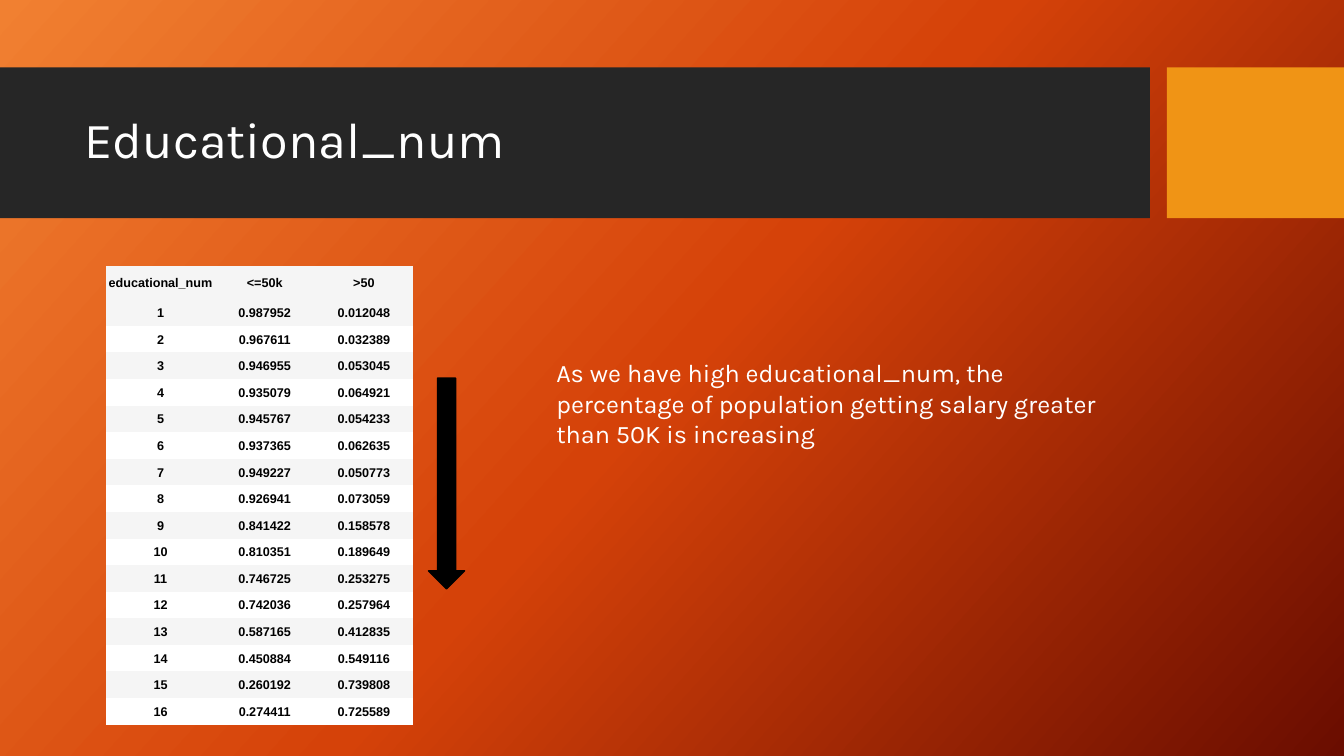
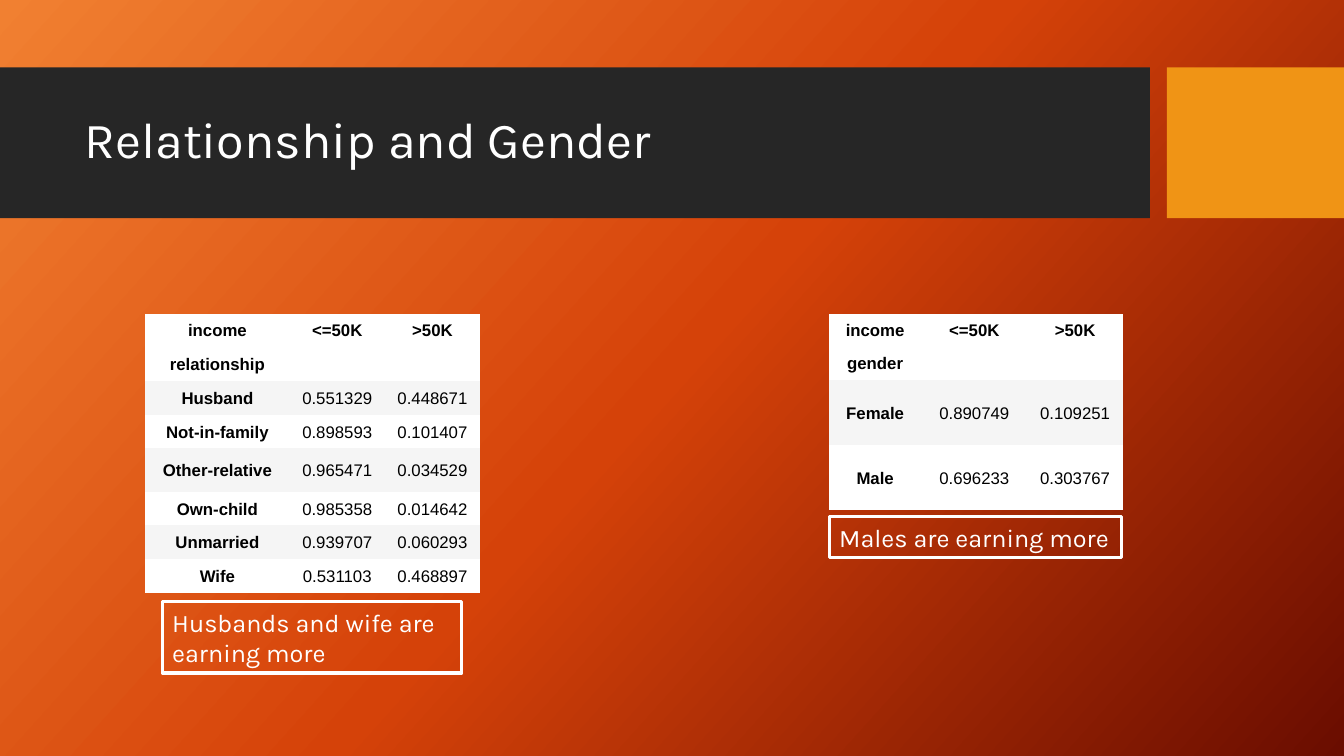
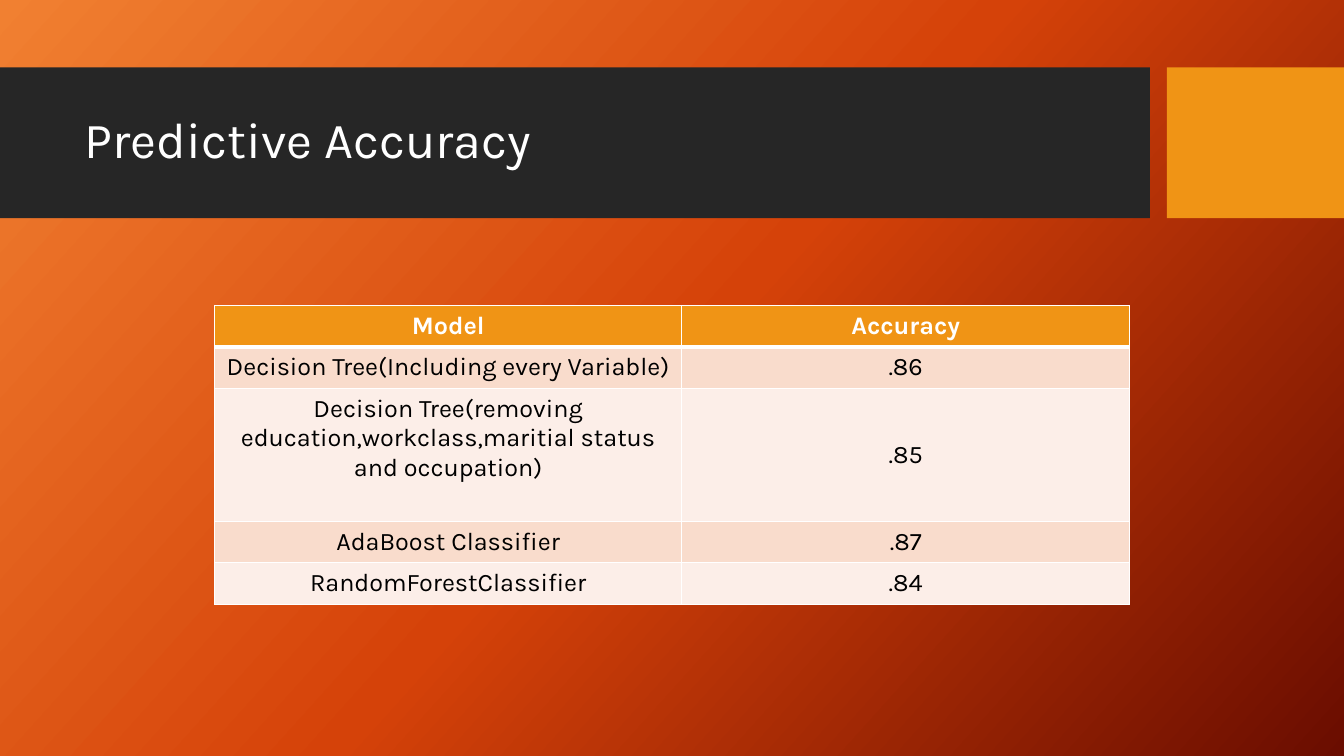
import copy
import pptx
import pptx.util
import pptx.dml.color
import pptx.enum.shapes
import pptx.enum.text
import pptx.oxml
import pptx.oxml.ns
from pptx.util import Cm

KIND = pptx.enum.shapes.MSO_SHAPE
SIDE = pptx.enum.text.PP_ALIGN
MID = pptx.enum.text.MSO_ANCHOR.MIDDLE
GROW = pptx.enum.text.MSO_AUTO_SIZE.SHAPE_TO_FIT_TEXT
NAME = pptx.oxml.ns.qn
WHITE, BLACK, GREY = "FFFFFF", "000000", "F5F5F5"
DARK, AMBER = "262626", "F09415"
PEACH, PALE = "F9DCCC", "FCEEE8"
GLOW = [(0, "F18031"), (0.5, "D54209"), (1, "6A0D00")]
PLAIN = "{2D5ABB26-0587-4C30-8999-92F81FD0307C}"


def hue(code):
    return pptx.dml.color.RGBColor.from_string(code)


def say(frame, text, size=18, font="Karla", color=WHITE, bold=False,
        align=SIDE.LEFT, space=None):
    frame.word_wrap = True
    para = frame.paragraphs[0]
    para.alignment = align
    para.line_spacing = space
    if text:
        run = para.add_run()
        run.text = text
        run.font.size = pptx.util.Pt(size)
        run.font.name = font
        run.font.bold = bold
        run.font.color.rgb = hue(color)


deck = pptx.Presentation()
deck.slide_width, deck.slide_height = Cm(33.87), Cm(19.05)

pages = []
for title in ["Educational_num", "Relationship and Gender", "Predictive Accuracy"]:
    page = deck.slides.add_slide(deck.slide_layouts[6])
    pages.append(page)
    back = page.background.fill
    back.gradient()
    back.gradient_angle = 318
    stops = next(page.element.iter(NAME("a:gsLst")))
    stops.append(copy.deepcopy(stops[-1]))
    for stop, (place, code) in zip(back.gradient_stops, GLOW):
        stop.position = place
        stop.color.rgb = hue(code)
    for left, width, code in [(0, 28.98, DARK), (29.41, 4.46, AMBER)]:
        band = page.shapes.add_shape(KIND.RECTANGLE, Cm(left), Cm(1.7), Cm(width), Cm(3.8))
        band.shadow.inherit = False
        band.fill.solid()
        band.fill.fore_color.rgb = hue(code)
        band.line.fill.background()
    head = page.shapes.add_textbox(Cm(1.88), Cm(2.08), Cm(26.7), Cm(3)).text_frame
    head.vertical_anchor = MID
    say(head, title, size=36, space=0.9)

first, second, third = pages

school = [
    ["educational_num", "<=50k", ">50"],
    ["1", "0.987952", "0.012048"],
    ["2", "0.967611", "0.032389"],
    ["3", "0.946955", "0.053045"],
    ["4", "0.935079", "0.064921"],
    ["5", "0.945767", "0.054233"],
    ["6", "0.937365", "0.062635"],
    ["7", "0.949227", "0.050773"],
    ["8", "0.926941", "0.073059"],
    ["9", "0.841422", "0.158578"],
    ["10", "0.810351", "0.189649"],
    ["11", "0.746725", "0.253275"],
    ["12", "0.742036", "0.257964"],
    ["13", "0.587165", "0.412835"],
    ["14", "0.450884", "0.549116"],
    ["15", "0.260192", "0.739808"],
    ["16", "0.274411", "0.725589"],
]
kin = [
    ["income", "<=50K", ">50K"],
    ["relationship", "", ""],
    ["Husband", "0.551329", "0.448671"],
    ["Not-in-family", "0.898593", "0.101407"],
    ["Other-relative", "0.965471", "0.034529"],
    ["Own-child", "0.985358", "0.014642"],
    ["Unmarried", "0.939707", "0.060293"],
    ["Wife", "0.531103", "0.468897"],
]
gender = [
    ["income", "<=50K", ">50K"],
    ["gender", "", ""],
    ["Female", "0.890749", "0.109251"],
    ["Male", "0.696233", "0.303767"],
]
model = [
    ["Model", "Accuracy"],
    ["Decision Tree(Including every Variable)", ".86"],
    ["Decision Tree(removing education,workclass,maritial status and occupation)", ".85"],
    ["AdaBoost Classifier", ".87"],
    ["RandomForestClassifier", ".84"],
]

small = dict(size=9, font="Arial", color=BLACK, bold=True)
large = dict(size=12, font="Arial", color=BLACK)
grids = [
    (first, school, 2.67, 6.7, [2.75, 2.5, 2.5], [0.84] + [0.67] * 16,
     [GREY] + [GREY, WHITE] * 8, small),
    (second, kin, 3.66, 7.9, [3.64, 2.4, 2.4], [0.85] * 4 + [1.09] + [0.85] * 3,
     [WHITE] * 2 + [GREY, WHITE] * 3, large),
    (second, gender, 20.9, 7.9, [2.31, 2.69, 2.39], [0.84] * 2 + [1.64] * 2,
     [WHITE] * 2 + [GREY, WHITE], large),
    (third, model, 5.41, 7.7, [11.77, 11.29], [1.04, 1.04, 3.23, 1.04, 1.04],
     [AMBER] + [PEACH, PALE] * 2, dict(color=BLACK)),
]
for page, data, left, top, cols, rows, fills, style in grids:
    shape = page.shapes.add_table(len(rows), len(cols), Cm(left), Cm(top),
                                  Cm(sum(cols)), Cm(sum(rows)))
    next(shape.element.iter(NAME("a:tableStyleId"))).text = PLAIN
    table = shape.table
    table.horz_banding = False
    for col, width in zip(table.columns, cols):
        col.width = Cm(width)
    for row, height in zip(table.rows, rows):
        row.height = Cm(height)
    for y, line in enumerate(data):
        for x, text in enumerate(line):
            cell = table.cell(y, x)
            cell.vertical_anchor = MID
            cell.fill.solid()
            cell.fill.fore_color.rgb = hue(fills[y])
            look = dict(style)
            if data is model:
                if y == 0:
                    look.update(color=WHITE, bold=True)
            else:
                cell.margin_left = cell.margin_right = cell.margin_top = Cm(0.03)
                cell.margin_bottom = 0
                if x == 0 or y == 0:
                    look.update(bold=True)
            say(cell.text_frame, text, align=SIDE.CENTER, **look)

table.cell(2, 0).margin_bottom = Cm(0.95)
for n, edge in enumerate(shape.element.iter(NAME("a:tcPr"))):
    y = n // len(cols)
    for spot, side in enumerate("LRTB"):
        thick = 3 if (y, side) in [(0, "B"), (1, "T")] else 1
        edge.insert(spot, pptx.oxml.parse_xml(
            f'<a:ln{side} {pptx.oxml.ns.nsdecls("a")} w="{thick * 12700}">'
            f'<a:solidFill><a:srgbClr val="{WHITE}"/></a:solidFill></a:ln{side}>'))

arrow = first.shapes.add_shape(KIND.DOWN_ARROW, Cm(10.8), Cm(9.53), Cm(0.91), Cm(5.31))
arrow.shadow.inherit = False
arrow.fill.solid()
arrow.fill.fore_color.rgb = hue(BLACK)
arrow.line.color.rgb = hue(BLACK)
arrow.line.width = pptx.util.Pt(1)

note = first.shapes.add_textbox(Cm(13.77), Cm(8.89), Cm(14.63), Cm(2.57)).text_frame
say(note, "As we have high educational_num, the percentage of population "
    "getting salary greater than 50K is increasing")
note.auto_size = GROW

for text, left, top, width, height in [
    ("Husbands and wife are earning more", 4.09, 15.16, 7.55, 1.8),
    ("Males are earning more", 20.9, 13.02, 7.37, 1.03),
]:
    box = second.shapes.add_shape(KIND.RECTANGLE, Cm(left), Cm(top), Cm(width), Cm(height))
    box.shadow.inherit = False
    box.fill.background()
    box.line.color.rgb = hue(WHITE)
    box.line.width = pptx.util.Pt(2.25)
    say(box.text_frame, text)
    box.text_frame.auto_size = GROW

deck.save("out.pptx")
